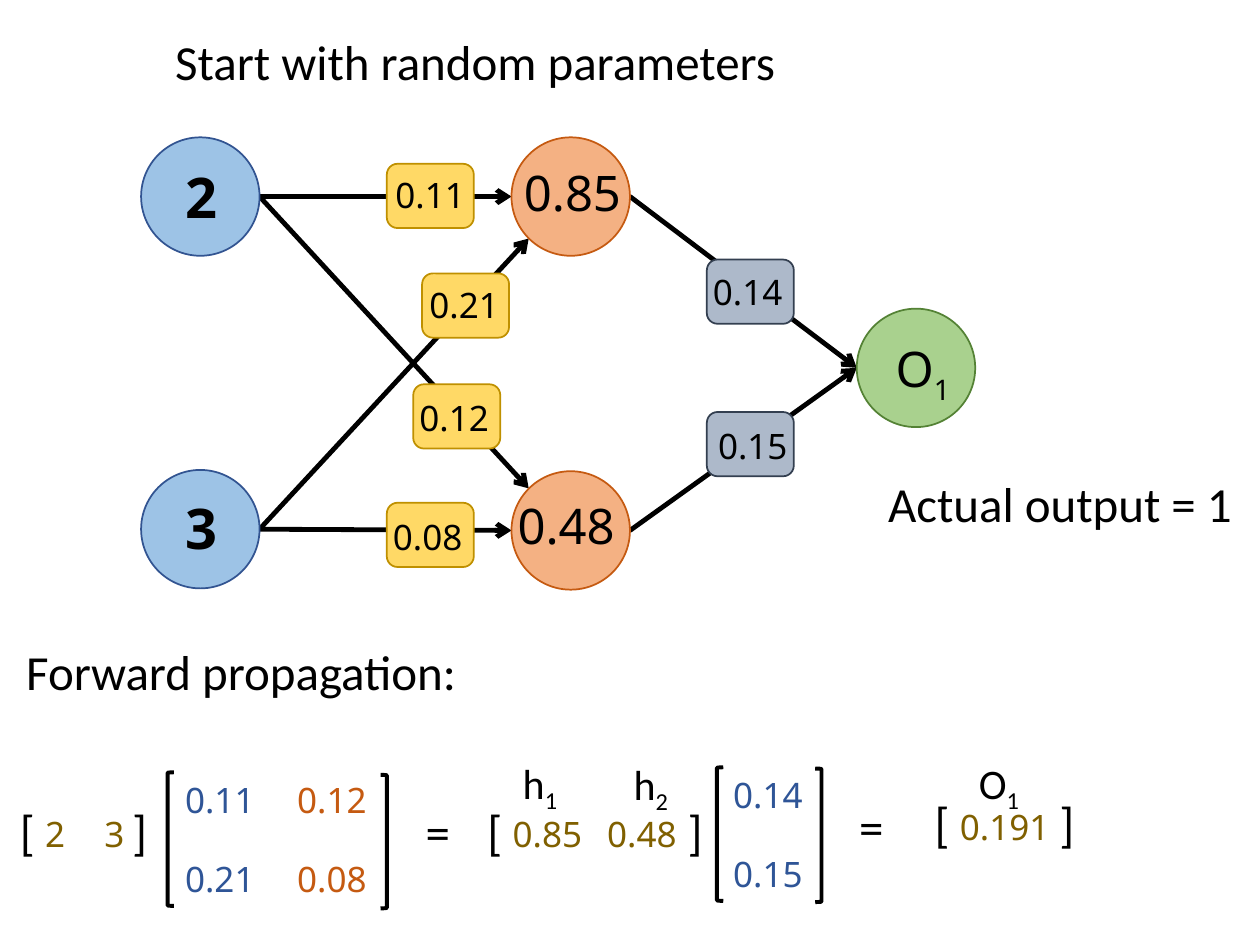
import lxml.etree
import pptx
import pptx.dml.color
import pptx.enum.shapes
import pptx.enum.text
import pptx.oxml.ns
import pptx.util

COLORS = {
    "black": "000000", "input": "9DC3E6", "input_edge": "325491",
    "hidden": "F4B183", "hidden_edge": "C55A11", "output": "A9D18E",
    "output_edge": "548235", "w1": "FFD966", "w1_edge": "BF9000",
    "w2": "ADB9CA", "w2_edge": "333F50", "blue": "2F5597",
    "orange": "C55A11", "olive": "806000",
}
RGB = {k: pptx.dml.color.RGBColor.from_string(v) for k, v in COLORS.items()}
SHAPE = pptx.enum.shapes.MSO_SHAPE

# Text styles
HEADING = {"name": "Calibri", "size": pptx.util.Pt(28), "bold": False}
LABEL = {"name": "Calibri", "size": pptx.util.Pt(24), "bold": False}
INPUT = {"name": "Noto Sans", "size": pptx.util.Pt(32), "bold": True}
NODE = {"name": "Noto Sans", "size": pptx.util.Pt(28), "bold": False}
VALUE = {"name": "Noto Sans", "size": pptx.util.Pt(20), "bold": False}
FRAME = {"auto_size": pptx.enum.text.MSO_AUTO_SIZE.SHAPE_TO_FIT_TEXT,
         "vertical_anchor": pptx.enum.text.MSO_ANCHOR.TOP}

prs = pptx.Presentation()
prs.slide_width, prs.slide_height = pptx.util.Inches(10), pptx.util.Inches(7.5)
s = prs.slides.add_slide(prs.slide_layouts[5])

# Grid of 100 columns by 75 rows
COL, ROW = prs.slide_width / 100, prs.slide_height / 75


def add_text(x, y, w, h, text, style, color="black", sub="", wrap=False, sp=None):
    """Write text, with an optional subscript, in a text box or placeholder."""
    sp = sp or s.shapes.add_textbox(0, 0, 0, 0)
    sp.left, sp.top = round(x * COL), round(y * ROW)
    sp.width, sp.height = round(w * COL), round(h * ROW)
    tf = sp.text_frame
    for key, value in {**FRAME, "word_wrap": wrap}.items():
        setattr(tf, key, value)
    p = tf.paragraphs[0]
    p.alignment = pptx.enum.text.PP_ALIGN.LEFT
    for part in filter(None, (text, sub)):
        r = p.add_run()
        r.text = part
        for key, value in style.items():
            setattr(r.font, key, value)
        r.font.color.rgb = RGB[color]
    if sub:
        r.font._element.set("baseline", "-25000")


def add_shape(kind, x, y, w, h, fill=None, line="black", weight=1):
    sp = s.shapes.add_shape(kind, round(x * COL), round(y * ROW),
                            round(w * COL), round(h * ROW))
    sp.shadow.inherit = False
    if fill:
        sp.fill.solid()
        sp.fill.fore_color.rgb = RGB[fill]
    else:
        sp.fill.background()
    sp.line.color.rgb = RGB[line]
    sp.line.width = pptx.util.Pt(weight)


# Headings
add_text(12.9, 2, 63.8, 5.7, "Start with random parameters", HEADING,
         wrap=True, sp=s.shapes.title)
add_text(69.5, 37.1, 30.5, 5.7, "Actual output = 1", HEADING, wrap=True)
add_text(1.1, 50.4, 63.8, 5.7, "Forward propagation:", HEADING, wrap=True)

# Arrows between the layers, behind the nodes
R = 4.7
DIAG = R * 0.71
X_IN, X_HID, X_OUT = 15.9, 45.3, 72.7
IN_Y, HID_Y, OUT_Y = (15.6, 42), (15.6, 42.1), 29.2
arrows = [(X_HID + R, y, X_OUT - R, OUT_Y) for y in HID_Y]
for i, y in enumerate(IN_Y):
    for j, end in enumerate(HID_Y):
        if i == j:
            arrows.append((X_IN + R, y, X_HID - R, end))
        else:
            side = 1 if j == 0 else -1
            arrows.append((X_IN + R, y, X_HID - DIAG, end + side * DIAG))
for x1, y1, x2, y2 in arrows:
    c = s.shapes.add_connector(pptx.enum.shapes.MSO_CONNECTOR.STRAIGHT,
                               round(x1 * COL), round(y1 * ROW),
                               round(x2 * COL), round(y2 * ROW))
    c.line.color.rgb = RGB["black"]
    c.line.width = pptx.util.Pt(2.75)
    lxml.etree.SubElement(c.line._get_or_add_ln(),
                          pptx.oxml.ns.qn("a:tailEnd"), type="arrow")
    lxml.etree.SubElement(c._element.spPr, pptx.oxml.ns.qn("a:effectLst"))

# Nodes
nodes = [(X_IN, y, "input") for y in IN_Y]
nodes += [(X_HID, y, "hidden") for y in HID_Y] + [(X_OUT, OUT_Y, "output")]
for x, y, kind in nodes:
    add_shape(SHAPE.OVAL, x - R, y - R, 2 * R, 2 * R, kind, kind + "_edge")

# Node values
for y, text in ((12.4, "2"), (38.7, "3")):
    add_text(13.7, y, 4.8, 6.4, text, INPUT)
for x, y, text in ((40.6, 12.4, "0.85"), (40.1, 38.8, "0.48")):
    add_text(x, y, 10.2, 5.7, text, NODE)
add_text(70.1, 26.4, 6.7, 5.7, "O", NODE, sub="1")

# Weights: box corner, text corner
for kind, x, y, tx, ty, text in (
        ("w1", 30.7, 13, 30.4, 13.3, "0.11"),
        ("w1", 33.5, 21.7, 33.1, 22, "0.21"),
        ("w1", 32.8, 30.5, 32.3, 31, "0.12"),
        ("w1", 30.7, 39.9, 30.2, 40.4, "0.08"),
        ("w2", 56.1, 20.6, 55.6, 21, "0.14"),
        ("w2", 56.1, 32.7, 56, 33.2, "0.15")):
    add_shape(SHAPE.ROUNDED_RECTANGLE, x, y, 6.9, 5.1, kind, kind + "_edge")
    add_text(tx, ty, 7.9, 4.4, text, VALUE)

# Weight matrices, one column of values at a time
for x, y, color, values in (
        (13.7, 61.3, "blue", ("0.11", "0.21")),
        (22.6, 61.3, "orange", ("0.12", "0.08")),
        (57.2, 60.9, "blue", ("0.14", "0.15"))):
    for row, text in enumerate(values):
        add_text(x, y + 6.25 * row, 7.9, 4.4, text, VALUE, color)
for kind, x, y in ((SHAPE.LEFT_BRACKET, 13.3, 61.3),
                   (SHAPE.RIGHT_BRACKET, 30.2, 61.5),
                   (SHAPE.LEFT_BRACKET, 56.9, 60.9),
                   (SHAPE.RIGHT_BRACKET, 64.7, 61)):
    add_shape(kind, x, y, 0.5, 10.6, weight=2.25)

# Row vectors: values, brackets and equals signs
for x, y, w, text in ((2.6, 64, 3.7, "2"), (7.3, 64, 3.7, "3"),
                      (39.7, 64, 7.9, "0.85"), (47.2, 64, 7.9, "0.48"),
                      (75.2, 63.4, 9.6, "0.191")):
    add_text(x, y, w, 4.4, text, VALUE, "olive")
for x_open, x_close, y in ((0.6, 9.5, 63.1), (37.7, 53.6, 63.1), (73.2, 83.1, 62.5)):
    add_text(x_open, y, 3.2, 5.7, "[", HEADING)
    add_text(x_close, y, 3.2, 5.7, "]", HEADING)
for x, y in ((32.8, 63.1), (67.2, 62.7)):
    add_text(x, y, 4, 5.7, "=", HEADING)

# Names above the computed values
for x, y, w, text, sub in ((40.5, 59.6, 4.9, "h", "1"), (49.3, 59.7, 4.9, "h", "2"),
                           (76.7, 59.6, 5.4, "O", "1")):
    add_text(x, y, w, 5, text, LABEL, sub=sub)

prs.save("out.pptx")
